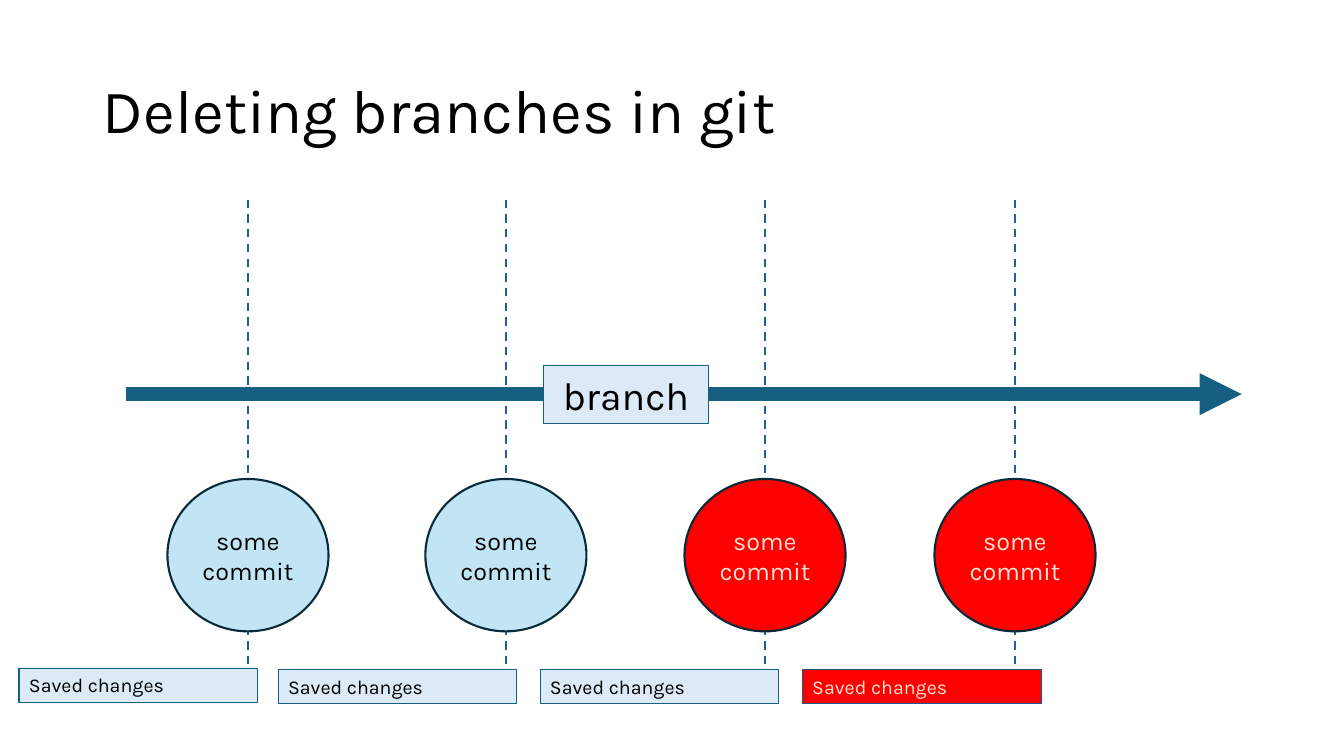
"""Build the slide on deleting branches in git."""
import pptx
import pptx.dml.color
import pptx.enum.dml
import pptx.enum.shapes
import pptx.enum.text
import pptx.oxml.ns
import pptx.oxml.xmlchemy
import pptx.util

Cm, Pt = pptx.util.Cm, pptx.util.Pt
SHAPE = pptx.enum.shapes.MSO_SHAPE
ALIGN = pptx.enum.text.PP_ALIGN
ANCHOR = pptx.enum.text.MSO_ANCHOR

TITLE = "Deleting branches in git"
BRANCH = "branch"
COMMIT = ["some", "commit"]
SAVED = "Saved changes"
FONT = "Karla"
COLORS = {
    "text": "000000", "deleted_text": "FBE3D6", "deleted": "FF0000",
    "commit": "C1E5F5", "commit_line": "092A39", "label": "DCEAF7",
    "branch": "156082", "guide": "215F9A",
}
# centre x, commit deleted, label left, label top, label deleted
COMMITS = [
    (6.25, False, 0.48, 16.84, False),
    (12.75, False, 7.01, 16.87, False),
    (19.28, True, 13.61, 16.87, False),
    (25.58, True, 20.22, 16.87, True),
]
GUIDE_TOP, GUIDE_BOTTOM = 5.03, 16.94
BRANCH_Y, BRANCH_START, BRANCH_END = 9.93, 3.18, 31.29
COMMIT_TOP, COMMIT_W, COMMIT_H = 12.07, 4.06, 3.84
LABEL_W, LABEL_H = 6.02, 0.86


def rgb(name):
    return pptx.dml.color.RGBColor.from_string(COLORS[name])


def write(tf, lines, size, color, align):
    for i, line in enumerate(lines):
        p = tf.paragraphs[0] if i == 0 else tf.add_paragraph()
        p.alignment = align
        r = p.add_run()
        r.text = line
        r.font.name = FONT
        r.font.size = Pt(size)
        r.font.color.rgb = rgb(color)


def add_line(s, x1, y1, x2, y2, color, width):
    line = s.shapes.add_connector(
        pptx.enum.shapes.MSO_CONNECTOR.STRAIGHT, Cm(x1), Cm(y1), Cm(x2), Cm(y2))
    line.line.color.rgb = rgb(color)
    line.line.width = Pt(width)
    line._element.spPr.append(pptx.oxml.xmlchemy.OxmlElement("a:effectLst"))
    return line


def add_box(s, kind, box, fill, line, width, lines, size, color, align, anchor):
    sp = s.shapes.add_shape(kind, *(Cm(v) for v in box))
    sp.shadow.inherit = False
    sp.fill.solid()
    sp.fill.fore_color.rgb = rgb(fill)
    sp.line.color.rgb = rgb(line)
    sp.line.width = Pt(width)
    tf = sp.text_frame
    tf.word_wrap = True
    tf.vertical_anchor = anchor
    write(tf, lines, size, color, align)


def main():
    prs = pptx.Presentation()
    prs.slide_width, prs.slide_height = Cm(33.87), Cm(19.05)
    s = prs.slides.add_slide(prs.slide_layouts[5])

    title = s.shapes.title
    title.left, title.top, title.width, title.height = (
        Cm(v) for v in (2.34, 1.02, 29.21, 3.68))
    tf = title.text_frame
    tf.auto_size = pptx.enum.text.MSO_AUTO_SIZE.NONE
    tf.vertical_anchor = ANCHOR.MIDDLE
    write(tf, [TITLE], 44, "text", ALIGN.LEFT)
    tf.paragraphs[0].line_spacing = 0.9

    for x, *_ in COMMITS:
        guide = add_line(s, x, GUIDE_TOP, x, GUIDE_BOTTOM, "guide", 1.5)
        guide.line.dash_style = pptx.enum.dml.MSO_LINE.DASH

    arrow = add_line(s, BRANCH_START, BRANCH_Y, BRANCH_END, BRANCH_Y, "branch", 10)
    head = pptx.oxml.xmlchemy.OxmlElement("a:tailEnd")
    head.set("type", "triangle")
    arrow._element.spPr.find(pptx.oxml.ns.qn("a:ln")).append(head)
    add_box(s, SHAPE.RECTANGLE, (13.69, 9.22, 4.17, 1.45), "label", "branch", 0.75,
            [BRANCH], 28, "text", ALIGN.CENTER, ANCHOR.TOP)

    for x, commit_deleted, left, top, label_deleted in COMMITS:
        add_box(s, SHAPE.OVAL, (x - COMMIT_W / 2, COMMIT_TOP, COMMIT_W, COMMIT_H),
                "deleted" if commit_deleted else "commit", "commit_line", 1.5,
                COMMIT, 18, "deleted_text" if commit_deleted else "text",
                ALIGN.CENTER, ANCHOR.MIDDLE)
        add_box(s, SHAPE.RECTANGLE, (left, top, LABEL_W, LABEL_H),
                "deleted" if label_deleted else "label", "branch", 0.75,
                [SAVED], 14, "deleted_text" if label_deleted else "text",
                ALIGN.LEFT, ANCHOR.TOP)

    prs.save("out.pptx")


if __name__ == "__main__":
    main()
